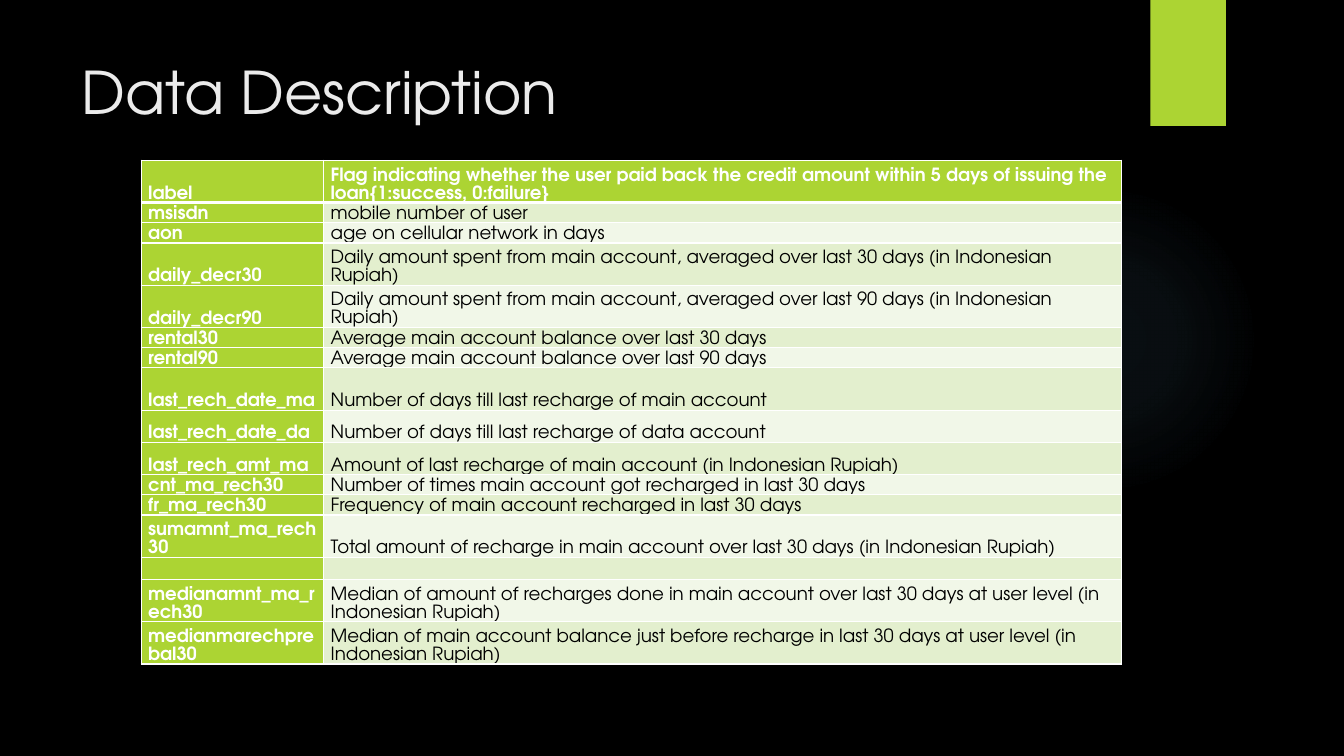
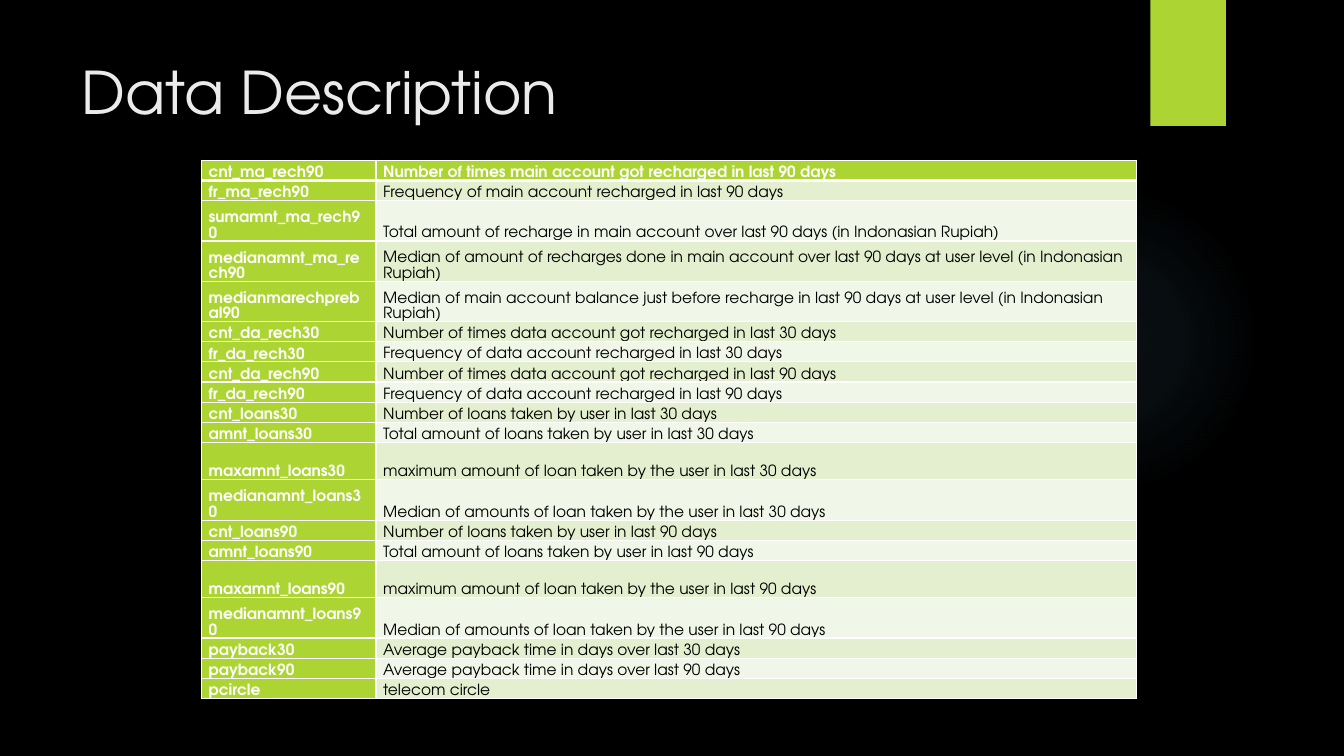
"""Build two data description slides with a shared layout and field tables."""
from dataclasses import dataclass

import pptx
import pptx.util
import pptx.dml.color
import pptx.enum.shapes
import pptx.enum.text
import pptx.oxml
import pptx.oxml.ns
from pptx.util import Inches, Pt

RGBColor = pptx.dml.color.RGBColor
BLACK = RGBColor(0x00, 0x00, 0x00)
WHITE = RGBColor(0xFF, 0xFF, 0xFF)
TITLE_GREY = RGBColor(0xEB, 0xEB, 0xEB)
LIME = RGBColor(0xAC, 0xD4, 0x33)
ROW_FILLS = (RGBColor(0xF1, 0xF7, 0xE8), RGBColor(0xE3, 0xEF, 0xCE))
GLOW_BLUE = RGBColor(0x7A, 0xC4, 0xF0)
GLOW_STOPS = ((0, 7), (36, 6), (69, 0))
FONT = "TeX Gyre Adventor"
TITLE = "Data Description"
TABLE_TOP = 1.59
LINE = 0.2
A_NS = pptx.oxml.ns.nsdecls("a")


@dataclass(frozen=True)
class Field:
    """A table row: field name, meaning and row height in inches."""

    name: str
    meaning: str
    height: float = LINE


@dataclass(frozen=True)
class FieldTable:
    """A table of fields with its place, column widths and text size."""

    left: float
    widths: tuple[float, float]
    size: int
    fields: tuple[Field, ...]


TABLES = (
    FieldTable(1.4, (1.81, 7.91), 13, (
        Field("label", "Flag indicating whether the user paid back the credit amount "
              "within 5 days of issuing the loan{1:success, 0:failure}", 0.42),
        Field("msisdn", "mobile number of user"),
        Field("aon", "age on cellular network in days"),
        Field("daily_decr30", "Daily amount spent from main account, averaged over "
              "last 30 days (in Indonesian Rupiah)", 0.42),
        Field("daily_decr90", "Daily amount spent from main account, averaged over "
              "last 90 days (in Indonesian Rupiah)", 0.42),
        Field("rental30", "Average main account balance over last 30 days"),
        Field("rental90", "Average main account balance over last 90 days"),
        Field("last_rech_date_ma", "Number of days till last recharge of main account", 0.42),
        Field("last_rech_date_da", "Number of days till last recharge of data account", 0.32),
        Field("last_rech_amt_ma", "Amount of last recharge of main account "
              "(in Indonesian Rupiah)", 0.32),
        Field("cnt_ma_rech30", "Number of times main account got recharged in last 30 days"),
        Field("fr_ma_rech30", "Frequency of main account recharged in last 30 days"),
        Field("sumamnt_ma_rech30", "Total amount of recharge in main account over "
              "last 30 days (in Indonesian Rupiah)", 0.42),
        Field("", ""),
        Field("medianamnt_ma_rech30", "Median of amount of recharges done in main account "
              "over last 30 days at user level (in Indonesian Rupiah)", 0.42),
        Field("medianmarechprebal30", "Median of main account balance just before recharge "
              "in last 30 days at user level (in Indonesian Rupiah)", 0.42),
    )),
    FieldTable(2, (1.73, 7.54), 11, (
        Field("cnt_ma_rech90", "Number of times main account got recharged in last 90 days"),
        Field("fr_ma_rech90", "Frequency of main account recharged in last 90 days"),
        Field("sumamnt_ma_rech90", "Total amount of recharge in main account over "
              "last 90 days (in Indonasian Rupiah)", 0.4),
        Field("medianamnt_ma_rech90", "Median of amount of recharges done in main account "
              "over last 90 days at user level (in Indonasian Rupiah)", 0.4),
        Field("medianmarechprebal90", "Median of main account balance just before recharge "
              "in last 90 days at user level (in Indonasian Rupiah)", 0.4),
        Field("cnt_da_rech30", "Number of times data account got recharged in last 30 days"),
        Field("fr_da_rech30", "Frequency of data account recharged in last 30 days"),
        Field("cnt_da_rech90", "Number of times data account got recharged in last 90 days"),
        Field("fr_da_rech90", "Frequency of data account recharged in last 90 days"),
        Field("cnt_loans30", "Number of loans taken by user in last 30 days"),
        Field("amnt_loans30", "Total amount of loans taken by user in last 30 days"),
        Field("maxamnt_loans30", "maximum amount of loan taken by the user in last 30 days", 0.37),
        Field("medianamnt_loans30", "Median of amounts of loan taken by the user "
              "in last 30 days", 0.4),
        Field("cnt_loans90", "Number of loans taken by user in last 90 days"),
        Field("amnt_loans90", "Total amount of loans taken by user in last 90 days"),
        Field("maxamnt_loans90", "maximum amount of loan taken by the user in last 90 days", 0.37),
        Field("medianamnt_loans90", "Median of amounts of loan taken by the user "
              "in last 90 days", 0.4),
        Field("payback30", "Average payback time in days over last 30 days"),
        Field("payback90", "Average payback time in days over last 90 days"),
        Field("pcircle", "telecom circle"),
    )),
)


def add_plain_shape(s, kind, left: float, top: float, width: float, height: float):
    """Add a shape without line or shadow."""
    sp = s.shapes.add_shape(kind, Inches(left), Inches(top), Inches(width), Inches(height))
    sp.shadow.inherit = False
    sp.line.fill.background()
    return sp


def decorate_layout(layout, s) -> None:
    """Draw the glow and the lime band and move them to the layout."""
    kinds = pptx.enum.shapes.MSO_SHAPE
    glow = add_plain_shape(s, kinds.OVAL, 9.41, 1.83, 3.08, 3.08)
    glow.fill.gradient()
    stops = "".join(
        f'<a:gs pos="{pos * 1000}"><a:srgbClr val="{GLOW_BLUE}">'
        f'<a:alpha val="{alpha * 1000}"/></a:srgbClr></a:gs>'
        for pos, alpha in GLOW_STOPS)
    grad = pptx.oxml.parse_xml(
        f'<a:gradFill {A_NS}><a:gsLst>{stops}</a:gsLst><a:path path="circle">'
        '<a:fillToRect l="50000" t="50000" r="50000" b="50000"/></a:path></a:gradFill>')
    props = glow.element.spPr
    props.replace(props.find(pptx.oxml.ns.qn("a:gradFill")), grad)

    band = add_plain_shape(s, kinds.RECTANGLE, 11.41, 0, 0.75, 1.25)
    band.fill.solid()
    band.fill.fore_color.rgb = LIME
    band.element.spPr.find(pptx.oxml.ns.qn("a:effectLst")).append(pptx.oxml.parse_xml(
        f'<a:outerShdw {A_NS} blurRad="{Pt(3)}" dist="{Pt(2)}" dir="5400000" rotWithShape="0">'
        f'<a:srgbClr val="{BLACK}"><a:alpha val="45000"/></a:srgbClr></a:outerShdw>'))
    for index, sp in enumerate((glow, band), start=2):
        layout.shapes.element.insert(index, sp.element)


def format_layout(layout) -> None:
    """Set the background and the place of the title."""
    layout.background.fill.solid()
    layout.background.fill.fore_color.rgb = BLACK
    title = layout.placeholders[0]
    title.left, title.top = Inches(0.71), Inches(0.5)
    title.width, title.height = Inches(10.29), Inches(0.91)
    title.text_frame.vertical_anchor = pptx.enum.text.MSO_ANCHOR.TOP


def add_text(p, text: str, size: int, color: RGBColor, bold: bool = False) -> None:
    """Add one formatted run to a paragraph."""
    r = p.add_run()
    r.text = text
    r.font.name = FONT
    r.font.size = Pt(size)
    r.font.bold = bold
    r.font.color.rgb = color


def add_title(s) -> None:
    """Write the slide title."""
    p = s.shapes.title.text_frame.paragraphs[0]
    p.alignment = pptx.enum.text.PP_ALIGN.LEFT
    add_text(p, TITLE, 42, TITLE_GREY)


def set_borders(cell, top: int, bottom: int) -> None:
    """Give a cell white borders of the given widths in points."""
    props = cell._tc.get_or_add_tcPr()
    for index, (side, width) in enumerate((("L", 1), ("R", 1), ("T", top), ("B", bottom))):
        props.insert(index, pptx.oxml.parse_xml(
            f'<a:ln{side} {A_NS} w="{Pt(width)}"><a:solidFill>'
            f'<a:srgbClr val="{WHITE}"/></a:solidFill></a:ln{side}>'))


def fill_cell(cell, text: str, row: int, col: int, size: int) -> None:
    """Write and format one table cell."""
    strong = row == 0 or col == 0
    cell.margin_left = cell.margin_right = Inches(0.07)
    cell.margin_top = cell.margin_bottom = 0
    cell.vertical_anchor = pptx.enum.text.MSO_ANCHOR.BOTTOM
    cell.fill.solid()
    cell.fill.fore_color.rgb = LIME if strong else ROW_FILLS[row % 2]
    set_borders(cell, 3 if row == 1 else 1, 3 if row == 0 else 1)
    p = cell.text_frame.paragraphs[0]
    p.line_spacing = 1.07
    if text:
        add_text(p, text, size, WHITE if strong else BLACK, strong)
    else:
        p._p.append(pptx.oxml.parse_xml(f'<a:endParaRPr {A_NS} sz="{size * 100}"/>'))


def add_field_table(s, spec: FieldTable) -> None:
    """Add the table of field names and meanings."""
    height = sum(field.height for field in spec.fields)
    table = s.shapes.add_table(
        len(spec.fields), len(spec.widths), Inches(spec.left), Inches(TABLE_TOP),
        Inches(sum(spec.widths)), Inches(height)).table
    for column, width in zip(table.columns, spec.widths):
        column.width = Inches(width)
    for row, field in enumerate(spec.fields):
        table.rows[row].height = Inches(field.height)
        for col, text in enumerate((field.name, field.meaning)):
            fill_cell(table.cell(row, col), text, row, col, spec.size)


def main() -> None:
    """Build and save the presentation."""
    prs = pptx.Presentation()
    prs.slide_width, prs.slide_height = Inches(13.33), Inches(7.5)
    layout = prs.slide_layouts[5]
    format_layout(layout)
    for index, spec in enumerate(TABLES):
        s = prs.slides.add_slide(layout)
        if index == 0:
            decorate_layout(layout, s)
        add_title(s)
        add_field_table(s, spec)
    prs.save("out.pptx")


if __name__ == "__main__":
    main()
